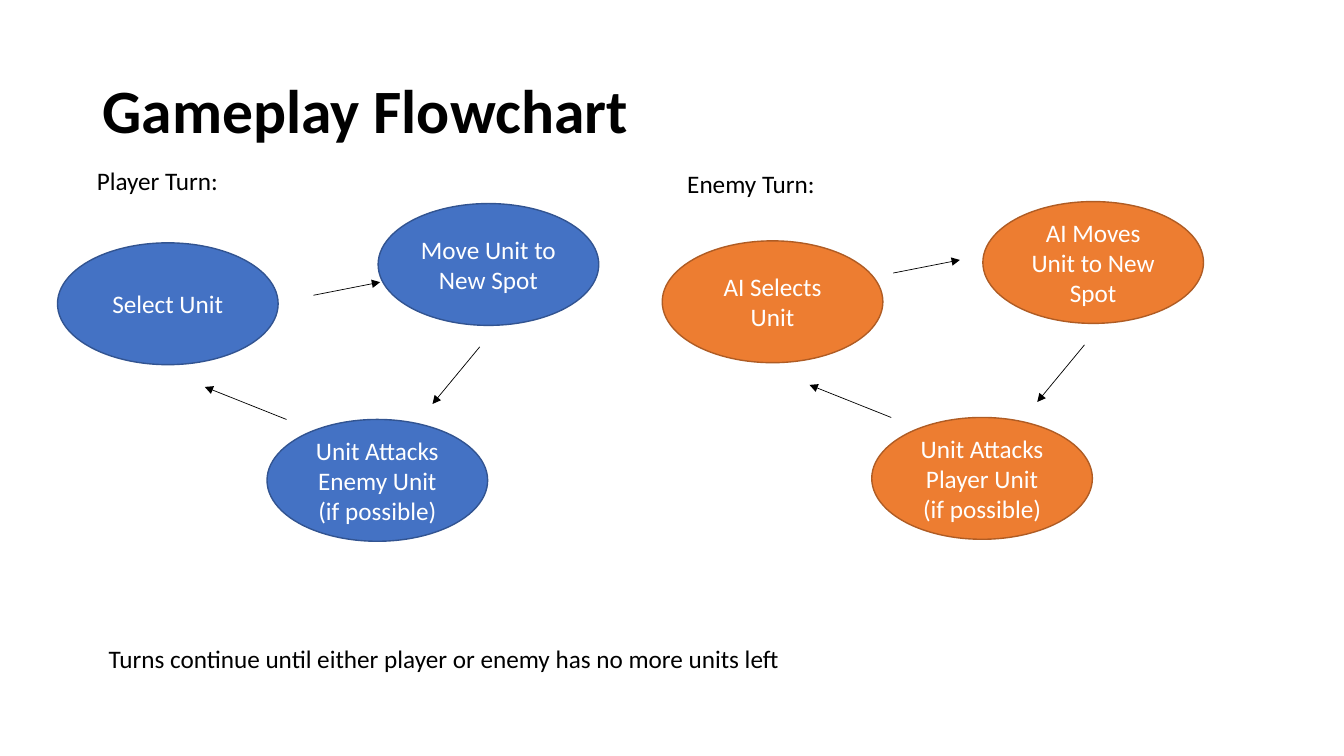
from lxml.etree import SubElement
from pptx import Presentation
from pptx.dml.color import RGBColor
from pptx.enum.shapes import MSO_CONNECTOR, MSO_SHAPE
from pptx.enum.text import MSO_ANCHOR, MSO_AUTO_SIZE, PP_ALIGN
from pptx.oxml.ns import qn
from pptx.util import Cm, Pt

COLORS = {
    "text": "000000",
    "step_text": "FFFFFF",
    "player": "4472C4",
    "player_edge": "325491",
    "enemy": "ED7D31",
    "enemy_edge": "AF5C24",
}
STEP_WIDTH, STEP_HEIGHT = 5.56, 3.07
# Positions in cm, relative to the corner of a cycle
STEP_OFFSETS = [(0, 0.99), (8.08, 0), (5.28, 5.44)]
RETURN_ARROWS = [((10.64, 3.61), (9.45, 5.05)), ((5.77, 5.44), (3.71, 4.62))]
FIRST_ARROW_REACH = (1.68, -0.33)


def color(name):
    return RGBColor.from_string(COLORS[name])


def format_text(frame, size, color_name, align=PP_ALIGN.LEFT, bold=False):
    for para in frame.paragraphs:
        para.alignment = align
        for span in para.runs:
            span.font.name = "Calibri"
            span.font.size = Pt(size)
            span.font.bold = bold
            span.font.color.rgb = color(color_name)


def add_title(page, text, left, top, width, height):
    title = page.shapes.title
    title.left, title.top = Cm(left), Cm(top)
    title.width, title.height = Cm(width), Cm(height)
    frame = title.text_frame
    frame.text = text
    frame.vertical_anchor = MSO_ANCHOR.MIDDLE
    frame.paragraphs[0].line_spacing = 0.9
    format_text(frame, 44, "text", bold=True)


def add_label(page, text, left, top, width, wrap=True):
    box = page.shapes.add_textbox(Cm(left), Cm(top), Cm(width), Cm(1.03))
    frame = box.text_frame
    frame.text = text
    frame.word_wrap = wrap
    frame.auto_size = MSO_AUTO_SIZE.SHAPE_TO_FIT_TEXT
    format_text(frame, 18, "text")


def add_step(page, text, left, top, side):
    step = page.shapes.add_shape(
        MSO_SHAPE.OVAL, Cm(left), Cm(top), Cm(STEP_WIDTH), Cm(STEP_HEIGHT))
    step.shadow.inherit = False
    step.fill.solid()
    step.fill.fore_color.rgb = color(side)
    step.line.color.rgb = color(f"{side}_edge")
    step.line.width = Pt(1)
    frame = step.text_frame
    frame.text = text
    frame.word_wrap = True
    frame.vertical_anchor = MSO_ANCHOR.MIDDLE
    format_text(frame, 18, "step_text", PP_ALIGN.CENTER)


def add_arrow(page, start, end):
    arrow = page.shapes.add_connector(
        MSO_CONNECTOR.STRAIGHT, *(Cm(value) for value in (*start, *end)))
    arrow.line.color.rgb = color("text")
    arrow.line.width = Pt(0.5)
    SubElement(arrow.line._get_or_add_ln(), qn("a:tailEnd"), type="triangle")
    SubElement(arrow._element.spPr, qn("a:effectLst"))


def add_turn_cycle(page, left, top, side, heading, heading_offset, steps, first_arrow):
    """Draw one side's turn as a heading and three steps joined in a loop."""
    def placed(point):
        return left + point[0], top + point[1]

    add_label(page, heading, *placed(heading_offset), 8.71)
    for text, offset in zip(steps, STEP_OFFSETS):
        add_step(page, text, *placed(offset), side)
    first_end = (first_arrow[0] + FIRST_ARROW_REACH[0],
                 first_arrow[1] + FIRST_ARROW_REACH[1])
    for start, end in [(first_arrow, first_end), *RETURN_ARROWS]:
        add_arrow(page, placed(start), placed(end))


def main():
    deck = Presentation()
    deck.slide_width, deck.slide_height = Cm(33.87), Cm(19.05)
    page = deck.slides.add_slide(deck.slide_layouts[5])
    add_title(page, "Gameplay Flowchart", 2.33, 1.01, 29.21, 3.68)
    add_turn_cycle(
        page, 1.45, 5.13, "player", "Player Turn:", (0.74, -1.09),
        ["Select Unit", "Move Unit to New Spot",
         "Unit Attacks Enemy Unit (if possible)"], (6.45, 2.31))
    add_turn_cycle(
        page, 16.69, 5.08, "enemy", "Enemy Turn:", (0.38, -0.97),
        ["AI Selects Unit", "AI Moves Unit to New Spot",
         "Unit Attacks Player Unit (if possible)"], (5.82, 1.8))
    add_label(page, "Turns continue until either player or enemy has no more units left",
              2.49, 16.08, 17.78, wrap=False)
    deck.save("out.pptx")


if __name__ == "__main__":
    main()
